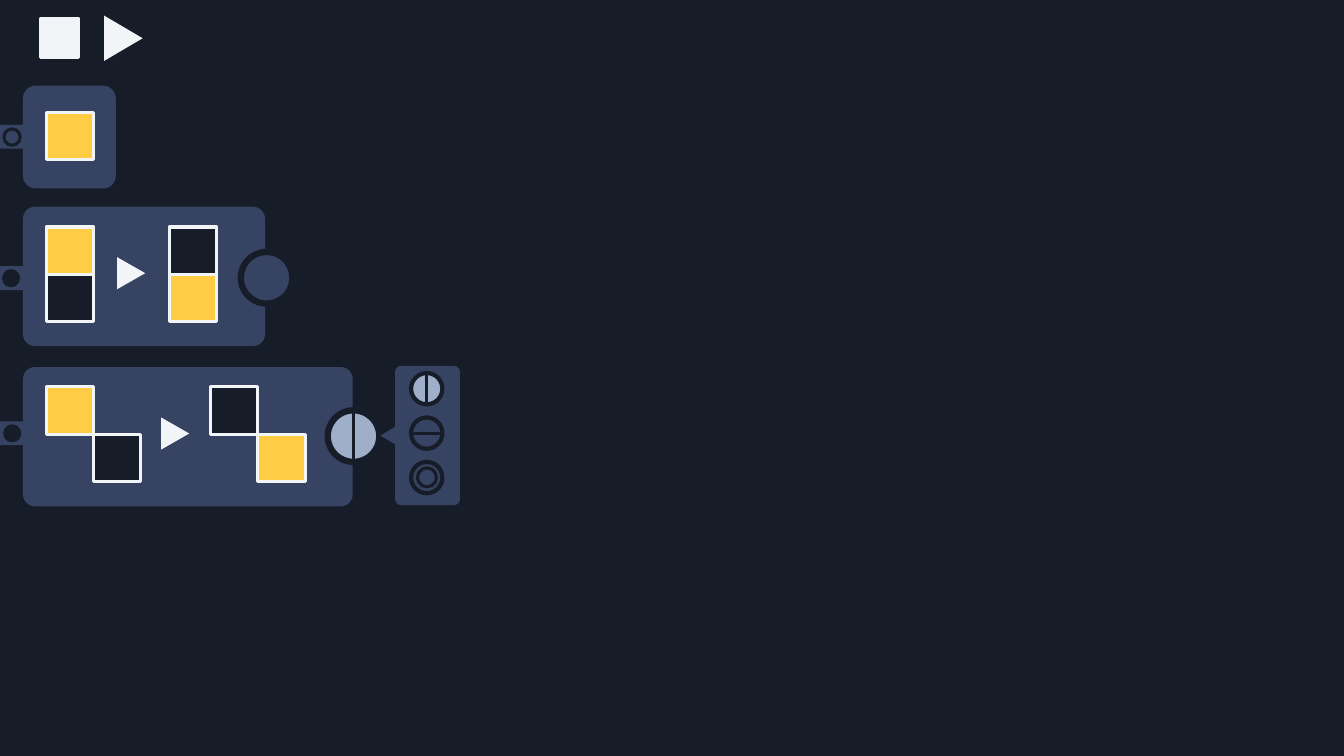
"""Build a dark rule editor slide with three tile rules and a symmetry menu."""
from lxml.etree import SubElement
from pptx import Presentation
from pptx.dml.color import RGBColor
from pptx.enum.shapes import MSO_CONNECTOR, MSO_SHAPE as Geo
from pptx.oxml.ns import qn
from pptx.util import Cm, Pt

HUES = {"night": "171D28", "slate": "374362", "mist": "9FAEC9",
        "gold": "FFCC46", "white": "F2F5F7"}

deck = Presentation()
deck.slide_width, deck.slide_height = Cm(33.87), Cm(19.05)
slide = deck.slides.add_slide(deck.slide_layouts[6])
back = slide.background.fill
back.solid()
back.fore_color.rgb = RGBColor.from_string(HUES["night"])


def draw(geo, x, y, w, h, hue, edge=None, width=2.25, turn=0, curve=None):
    shape = slide.shapes.add_shape(geo, Cm(x), Cm(y), Cm(w), Cm(h))
    shape.shadow.inherit = False
    shape.rotation = turn
    shape.fill.solid()
    shape.fill.fore_color.rgb = RGBColor.from_string(HUES[hue])
    if edge:
        shape.line.color.rgb = RGBColor.from_string(HUES[edge])
        shape.line.width = Pt(width)
    else:
        shape.line.fill.background()
    if curve is not None:
        shape.adjustments[0] = curve


def rule(x1, y1, x2, y2):
    line = slide.shapes.add_connector(
        MSO_CONNECTOR.STRAIGHT, Cm(x1), Cm(y1), Cm(x2), Cm(y2))
    line.line.color.rgb = RGBColor.from_string(HUES["night"])
    line.line.width = Pt(2.25)
    SubElement(line.element.spPr, qn("a:effectLst"))


draw(Geo.RECTANGLE, 1.02, 0.48, 0.97, 0.97, "white", "white")
draw(Geo.ISOSCELES_TRIANGLE, 2.54, 0.48, 1.14, 0.97, "white", turn=90)

for y, w, h, curve, tab in [(2.16, 2.34, 2.59, 0.137, 3.15),
                            (5.21, 6.1, 3.51, 0.086, 6.71),
                            (9.25, 8.31, 3.51, 0.086, 10.62)]:
    draw(Geo.ROUNDED_RECTANGLE, 0.58, y, w, h, "slate", curve=curve)
    draw(Geo.RECTANGLE, 0, tab, 0.6, 0.6, "slate")

draw(Geo.OVAL, 0.1, 3.25, 0.41, 0.41, "slate", "night")
for x, y in [(0.05, 6.78), (0.08, 10.69)]:
    draw(Geo.OVAL, x, y, 0.46, 0.46, "night")

tile = 1.19
draw(Geo.RECTANGLE, 1.17, 2.84, tile, tile, "gold", "white")
for y, shift, starts in [(5.72, 0, (1.17, 4.27)), (9.75, tile, (1.17, 5.31))]:
    for x, pair in zip(starts, [("gold", "night"), ("night", "gold")]):
        for i, hue in enumerate(pair):
            draw(Geo.RECTANGLE, x + i * shift, y + i * tile,
                 tile, tile, hue, "white")

for x, y in [(2.9, 6.53), (4.01, 10.57)]:
    draw(Geo.ISOSCELES_TRIANGLE, x, y, 0.81, 0.71, "white", turn=90)

for x, y, hue in [(6.07, 6.35, "slate"), (8.26, 10.34, "mist")]:
    draw(Geo.OVAL, x, y, 1.3, 1.3, hue, "night", 4.5)
rule(8.9, 10.34, 8.9, 11.64)

draw(Geo.ISOSCELES_TRIANGLE, 9.5, 10.49, 1.14, 0.97, "slate", turn=270)
draw(Geo.ROUNDED_RECTANGLE, 9.96, 9.22, 1.63, 3.51, "slate", curve=0.086)
left, top, size, step = 10.36, 9.4, 0.79, 1.12
for i, hue in enumerate(["mist", "slate", "slate"]):
    draw(Geo.OVAL, left, top + i * step, size, size, hue, "night", 3)
rule(left + size / 2, top, left + size / 2, top + size)
mid = top + step + size / 2
rule(left, mid, left + size, mid)
draw(Geo.OVAL, 10.52, 11.79, 0.48, 0.48, "slate", "night")

deck.save("out.pptx")
